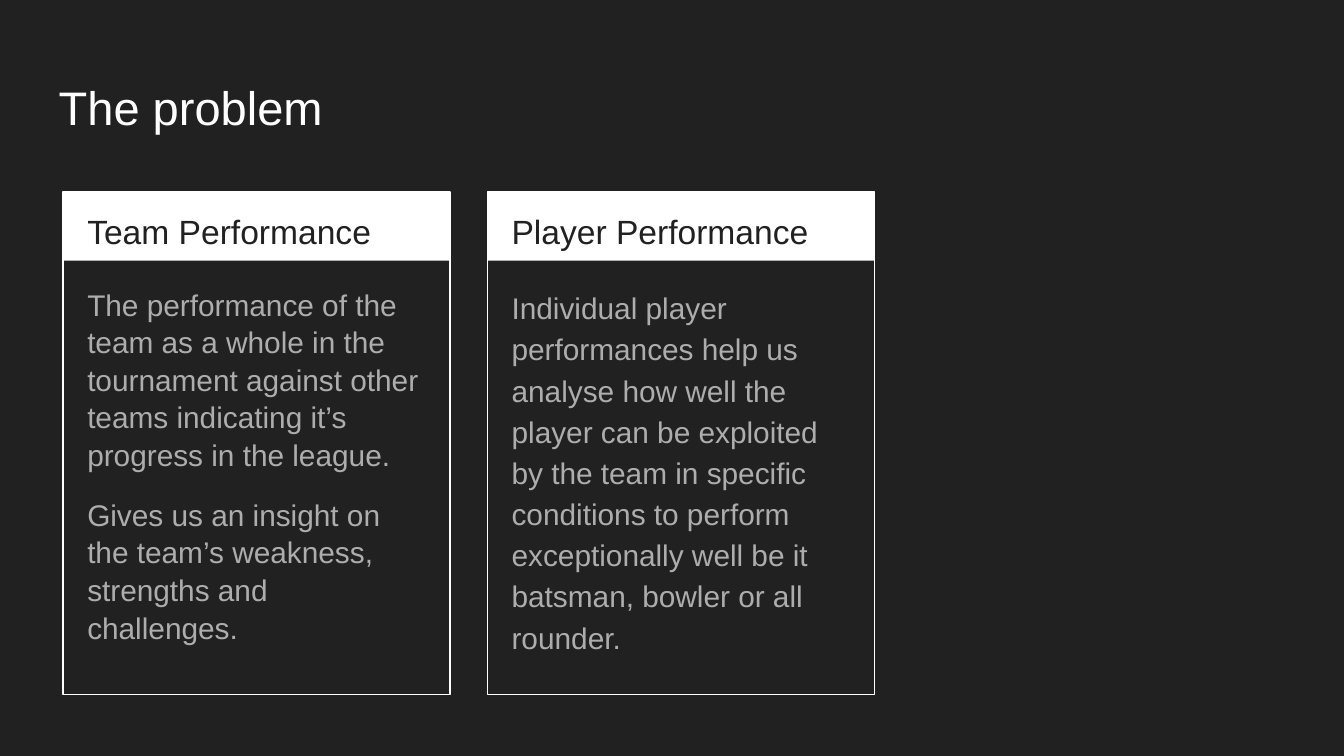
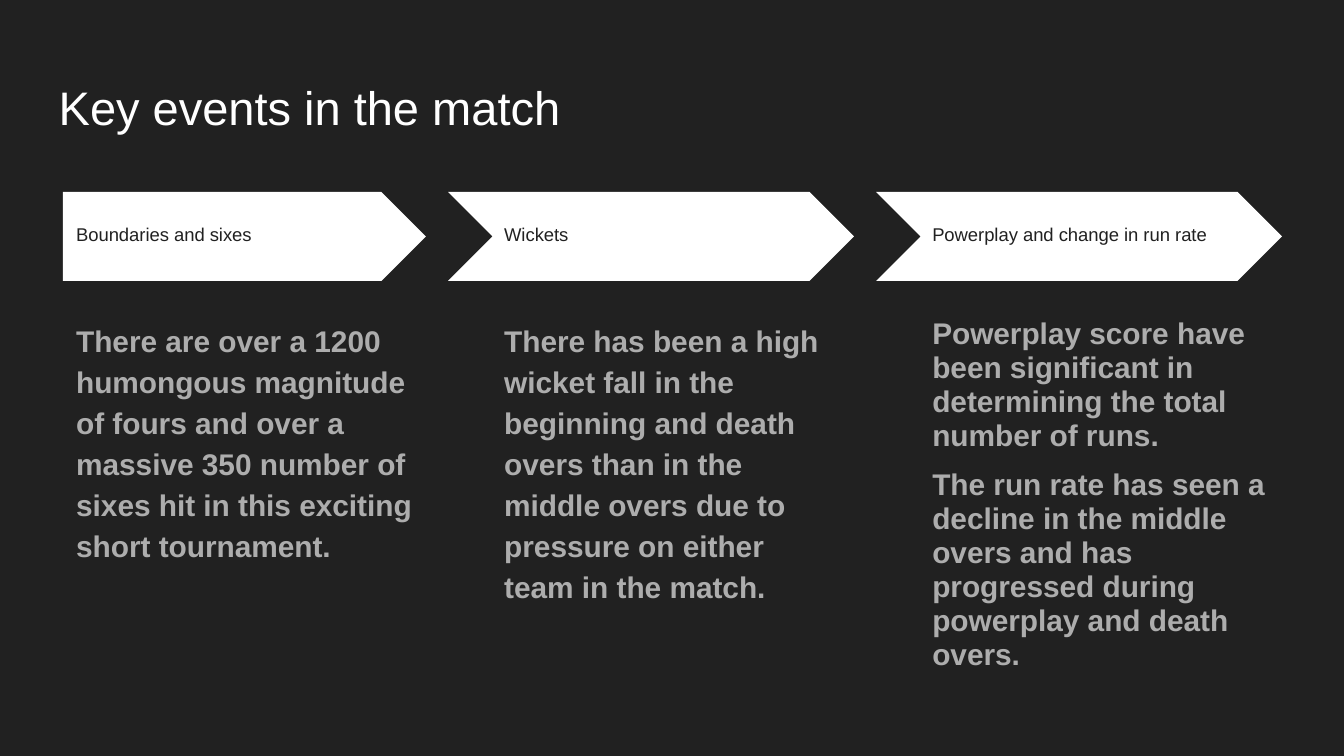
from dataclasses import dataclass

from pptx import Presentation
from pptx.dml.color import RGBColor
from pptx.enum.shapes import MSO_SHAPE
from pptx.enum.text import MSO_ANCHOR
from pptx.util import Cm, Pt

RECTANGLE = MSO_SHAPE.RECTANGLE
PENTAGON = MSO_SHAPE.PENTAGON
CHEVRON = MSO_SHAPE.CHEVRON
TOP, MIDDLE = MSO_ANCHOR.TOP, MSO_ANCHOR.MIDDLE

# Content: heading, line spacing, gap around paragraphs (pt), paragraphs
PROBLEM_TITLE = "The problem"
PROBLEM_CARDS = [
    ("Team Performance", 1.05, 12, [
        "The performance of the team as a whole in the tournament against "
        "other teams indicating it’s progress in the league.",
        "Gives us an insight on the team’s weakness, strengths and challenges.",
    ]),
    ("Player Performance", 1.15, 12, [
        "Individual player performances help us analyse how well the player "
        "can be exploited by the team in specific conditions to perform "
        "exceptionally well be it batsman, bowler or all rounder.",
    ]),
]

EVENTS_TITLE = "Key events in the match"
EVENTS = [
    ("Boundaries and sixes", 1.15, 8, [
        "There are over a 1200 humongous magnitude of fours and over a "
        "massive 350 number of sixes hit in this exciting short tournament.",
    ]),
    ("Wickets", 1.15, 8, [
        "There has been a high wicket fall in the beginning and death overs "
        "than in the middle overs due to pressure on either team in the match.",
    ]),
    ("Powerplay and change in run rate", 0.95, 8, [
        "Powerplay score have been significant in determining the total "
        "number of runs.",
        "The run rate has seen a decline in the middle overs and has "
        "progressed during powerplay and death overs.",
    ]),
]


@dataclass(frozen=True)
class Theme:
    font: str = "Arial"
    dark: RGBColor = RGBColor(0x21, 0x21, 0x21)
    white: RGBColor = RGBColor(0xFF, 0xFF, 0xFF)
    grey: RGBColor = RGBColor(0xAD, 0xAD, 0xAD)
    title_size: float = 25.2
    card_size: float = 18
    body_size: float = 16
    label_size: float = 9.9
    outline: float = 0.75


THEME = Theme()

# Shared layout, in centimetres
LEFT, CONTENT_TOP = 1.19, 3.63
INSET = 0.25


def add_text(page, area, paragraphs, size, color, spacing=1.0, gap=0,
             bold=False, anchor=TOP):
    box = page.shapes.add_textbox(*map(Cm, area))
    frame = box.text_frame
    frame.word_wrap = True
    frame.vertical_anchor = anchor
    frame.margin_left = frame.margin_right = Cm(INSET)
    frame.margin_top = frame.margin_bottom = Cm(INSET)
    for index, text in enumerate(paragraphs):
        para = frame.add_paragraph() if index else frame.paragraphs[0]
        para.line_spacing = spacing
        para.space_before = Pt(gap if index else 0)
        para.space_after = Pt(gap if index == len(paragraphs) - 1 else 0)
        span = para.add_run()
        span.text = text
        span.font.name = THEME.font
        span.font.size = Pt(size)
        span.font.bold = bold
        span.font.color.rgb = color


def add_block(page, kind, area, filled=True):
    shape = page.shapes.add_shape(kind, *map(Cm, area))
    shape.shadow.inherit = False
    if filled:
        shape.fill.solid()
        shape.fill.fore_color.rgb = THEME.white
        shape.line.fill.background()
    else:
        shape.fill.background()
        shape.line.color.rgb = THEME.white
        shape.line.width = Pt(THEME.outline)
    return shape


def add_page(deck, title):
    page = deck.slides.add_slide(deck.slide_layouts[6])
    add_text(page, (0.86, 1.24, 23.67, 1.6), [title],
             THEME.title_size, THEME.white)
    return page


def build_problem(deck):
    page = add_page(deck, PROBLEM_TITLE)
    width, height, band, pitch, pad = 7.32, 9.5, 1.3, 8.02, 0.21
    for column, (heading, spacing, gap, paragraphs) in enumerate(PROBLEM_CARDS):
        left = LEFT + column * pitch
        # White heading band inside an outlined card
        add_block(page, RECTANGLE, (left, CONTENT_TOP, width, band))
        add_block(page, RECTANGLE, (left, CONTENT_TOP, width, height), filled=False)
        text_left, text_width = left + pad, width - 2 * pad
        add_text(page, (text_left, CONTENT_TOP, text_width, band), [heading],
                 THEME.card_size, THEME.dark, spacing=1.15)
        add_text(page, (text_left, CONTENT_TOP + 1.5, text_width, 7.77),
                 paragraphs, THEME.body_size, THEME.grey, spacing, gap)


def build_events(deck):
    page = add_page(deck, EVENTS_TITLE)
    width, height, pitch, notch = 6.86, 1.68, 8.09, 0.81
    label_height = 0.86
    label_top = CONTENT_TOP + (height - label_height) / 2
    for column, (label, spacing, gap, paragraphs) in enumerate(EVENTS):
        left = LEFT + column * pitch
        # Later arrows reach back by the depth of their notch
        kind, reach = (CHEVRON, notch) if column else (PENTAGON, 0)
        arrow = add_block(page, kind,
                          (left - reach, CONTENT_TOP, width + reach, height))
        arrow.adjustments[0] = 0.5
        add_text(page, (left, label_top, 6.27, label_height), [label],
                 THEME.label_size, THEME.dark, spacing=0.8, anchor=MIDDLE)
        add_text(page, (left, 5.74, width, 7.37), paragraphs,
                 THEME.body_size, THEME.grey, spacing, gap, bold=True)


def main():
    deck = Presentation()
    deck.slide_width, deck.slide_height = Cm(25.4), Cm(14.29)
    backdrop = deck.slide_master.background.fill
    backdrop.solid()
    backdrop.fore_color.rgb = THEME.dark
    build_problem(deck)
    build_events(deck)
    deck.save("out.pptx")


if __name__ == "__main__":
    main()
